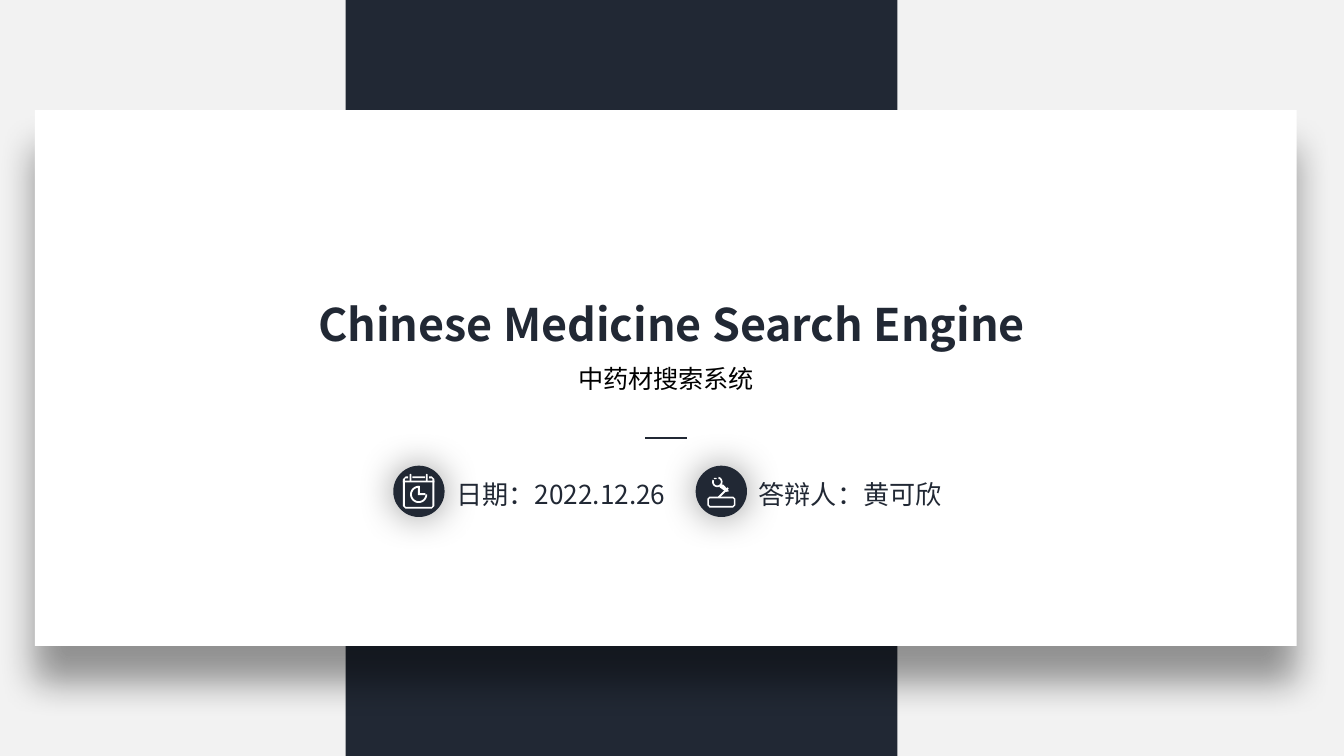
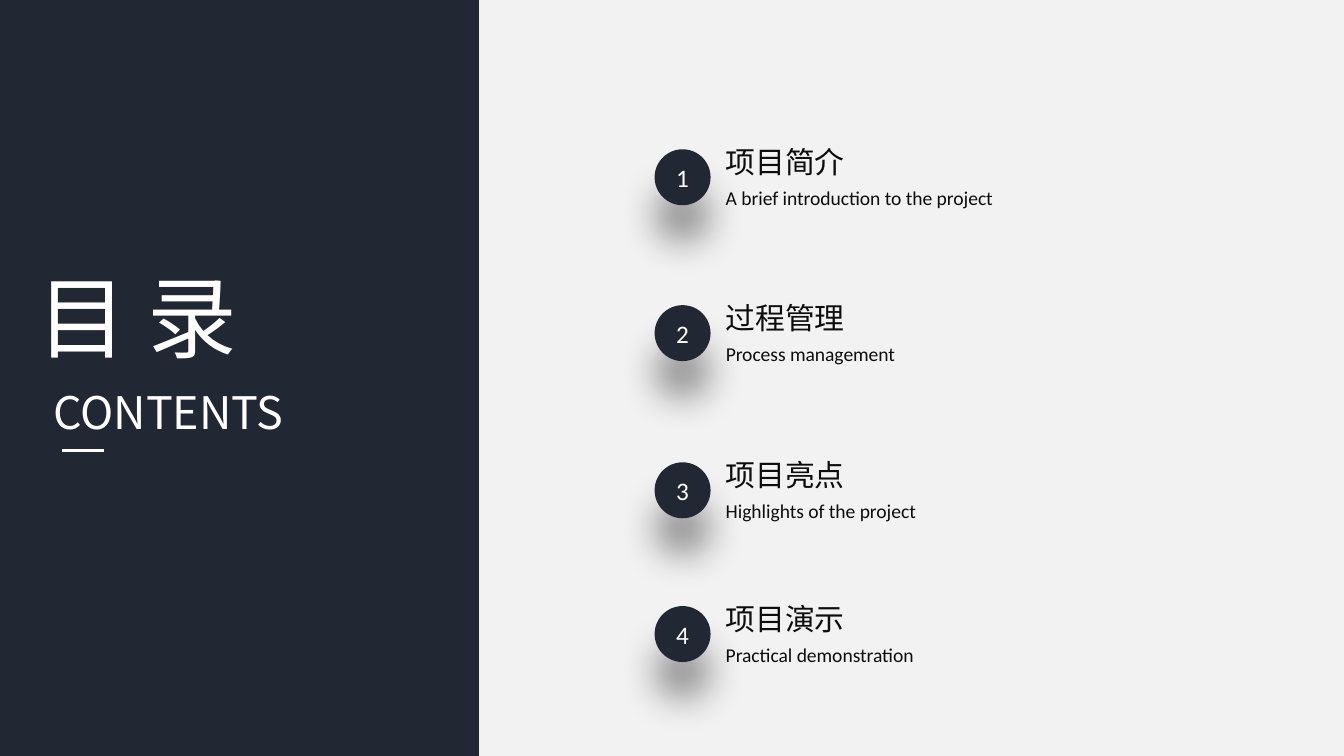
from collections import namedtuple
from math import cos, radians, sin

from lxml.etree import SubElement
from pptx import Presentation
from pptx.dml.color import RGBColor
from pptx.enum.shapes import MSO_CONNECTOR, MSO_SHAPE
from pptx.enum.text import MSO_ANCHOR, MSO_AUTO_SIZE, PP_ALIGN
from pptx.oxml.ns import qn
from pptx.util import Pt

Box = namedtuple("Box", "left top width height")

PAGE = Box(0, 0, 720, 405)
NAVY, PALE, WHITE, BLACK, INK = "212834", "F2F2F2", "FFFFFF", "000000", "0D0D0D"
HEADING_FONT, BODY_FONT = "Noto Sans CJK SC", "Calibri"
TITLE_ONLY = 5

CARD_TITLE = {"size": Pt(24), "name": HEADING_FONT, "bold": True}
CARD_SUBTITLE = {"size": Pt(13.5), "name": BODY_FONT}
DETAIL = {"size": Pt(14), "name": HEADING_FONT}
PANEL_TITLE = {"size": Pt(48), "name": HEADING_FONT}
PANEL_SUBTITLE = {"size": Pt(24), "name": HEADING_FONT}
NUMBER = {"size": Pt(13.5), "name": BODY_FONT}
ITEM_TITLE = {"size": Pt(16), "name": HEADING_FONT}
ITEM_NOTE = {"size": Pt(10.5), "name": BODY_FONT}

AGENDA = [
    (80, "项目简介", "A brief introduction to the project", 160),
    (163.5, "过程管理", "Process management", 106.6),
    (247.7, "项目亮点", "Highlights of the project", 117.4),
    (324.7, "项目演示", "Practical demonstration", 117.4),
]


def color(value):
    """Turn a hex string into a colour."""
    return RGBColor.from_string(value)


def set_values(target, values):
    """Set each named attribute on the target."""
    for name, value in values.items():
        setattr(target, name, value)


def place(box):
    """Give a box as four lengths."""
    return [Pt(value) for value in box]


def write(shape, text, style, ink, align=PP_ALIGN.LEFT, **frame_values):
    """Write one formatted paragraph into a shape."""
    frame = shape.text_frame
    set_values(frame, {"word_wrap": True, **frame_values})
    paragraph = frame.paragraphs[0]
    paragraph.alignment = align
    run = paragraph.add_run()
    run.text = text
    set_values(run.font, style)
    run.font.color.rgb = color(ink)
    SubElement(run.font._element, qn("a:ea"), typeface=style["name"])


def add_text(slide, box, text, style, ink, **frame_values):
    """Add a text box that grows with its text."""
    shape = slide.shapes.add_textbox(*place(box))
    write(shape, text, style, ink,
          **{"auto_size": MSO_AUTO_SIZE.SHAPE_TO_FIT_TEXT, **frame_values})
    return shape


def set_title(slide, box, text, style, ink, align=PP_ALIGN.LEFT):
    """Move the title placeholder to the front and fill it."""
    title = slide.shapes.title
    slide.shapes.element.append(title.element)
    set_values(title, dict(zip(Box._fields, place(box))))
    write(title, text, style, ink, align, vertical_anchor=MSO_ANCHOR.TOP,
          auto_size=MSO_AUTO_SIZE.SHAPE_TO_FIT_TEXT)


def paint(shape, fill):
    """Give a shape a plain fill without line or shadow."""
    shape.shadow.inherit = False
    shape.fill.solid()
    shape.fill.fore_color.rgb = color(fill)
    shape.line.fill.background()


def add_block(slide, kind, box, fill, shadow_distance=None):
    """Add a filled preset shape, with a soft shadow if a distance is given."""
    shape = slide.shapes.add_shape(kind, *place(box))
    paint(shape, fill)
    if shadow_distance is not None:
        effects = shape.element.spPr.find(qn("a:effectLst"))
        shadow = SubElement(effects, qn("a:outerShdw"), blurRad=str(Pt(20)),
                            dist=str(Pt(shadow_distance)), dir="5400000",
                            algn="t", rotWithShape="0")
        tint = SubElement(shadow, qn("a:srgbClr"), val=BLACK)
        SubElement(tint, qn("a:alpha"), val="40000")
    return shape


def add_dash(slide, left, top, ink):
    """Add the short rule below a heading."""
    line = slide.shapes.add_connector(MSO_CONNECTOR.STRAIGHT, Pt(left), Pt(top),
                                      Pt(left + 22.5), Pt(top))
    line.line.color.rgb = color(ink)
    line.line.width = Pt(1.5)
    SubElement(line.element.spPr, qn("a:effectLst"))


def rectangle(left, top, width, height, cut=0):
    """List the corners of a rectangle with cut corners."""
    right, bottom = left + width, top + height
    return [(left + cut, top), (right - cut, top), (right, top + cut),
            (right, bottom - cut), (right - cut, bottom), (left + cut, bottom),
            (left, bottom - cut), (left, top + cut)]


def arc_band(center_x, center_y, outer, inner, start, end):
    """List the outline of a curved band, clockwise from start to end."""
    angles = [radians(start + (end - start) * step / 24) for step in range(25)]
    return [(center_x + radius * cos(angle), center_y + radius * sin(angle))
            for radius, order in ((outer, angles), (inner, angles[::-1]))
            for angle in order]


CALENDAR = [
    [[(2.8, 0), (1.4, 0), (0, 1.4), (0, 15.9), (1.4, 17.3), (15.4, 17.3),
      (16.8, 15.9), (16.8, 1.4), (15.4, 0), (14, 0), (14, 1), (15.4, 1),
      (15.8, 1.4), (15.8, 15.8), (15.4, 16.3), (1.4, 16.3), (1, 15.8),
      (1, 1.4), (1.4, 1), (2.8, 1)],
     rectangle(5, 0, 6.8, 0.9)],
    [rectangle(left, -1.4, 0.9, 4.2, 0.3) for left in (3.6, 12.3)],
    [rectangle(0, 2.2, 16.8, 0.9), arc_band(8.4, 9.6, 4.6, 3.6, 0, 270)],
    [[(8, 5), (9, 5), (9, 9), (12, 9), (12, 10), (8, 10)]],
]
GAVEL = [
    [[(8.6, 4.3), (11.2, 7.2), (11.5, 7.9), (10.1, 8.2), (6.6, 5.8),
      (6.6, 5), (7.4, 4.2)]],
    [[(5.8, 10.8), (10.8, 5.8), (11.5, 6.5), (6.5, 11.5)],
     arc_band(5.4, 2.9, 2.8, 1.9, -75, 205),
     rectangle(3.6, 0.7, 1.4, 0.7, 0.2)],
    [rectangle(0, 10.8, 15.1, 5.8, 1.2), rectangle(0.9, 11.7, 13.3, 4, 0.5)],
]


def add_icon(slide, left, top, parts):
    """Draw the outlines of an icon and group them."""
    shapes = []
    for outlines in parts:
        first, *others = [[(Pt(left + x), Pt(top + y)) for x, y in outline]
                          for outline in outlines]
        builder = slide.shapes.build_freeform(*first[0])
        builder.add_line_segments(first[1:])
        for outline in others:
            builder.move_to(*outline[0])
            builder.add_line_segments(outline[1:])
        shape = builder.convert_to_shape()
        paint(shape, WHITE)
        shapes.append(shape)
    slide.shapes.add_group_shape(shapes)


def add_detail(slide, box, text, icon, inset):
    """Add a round icon with its text to the right."""
    add_block(slide, MSO_SHAPE.OVAL, Box(box.left, box.top, 27.5, 27.5), NAVY, 0)
    add_text(slide, Box(box.left + 26.6, box.top + 3, box.width - 26.6, 24.5),
             text, DETAIL, NAVY)
    add_icon(slide, box.left + inset, box.top + 5.8, icon)


def add_card(slide, box):
    """Fill the cover card with its headings and details."""
    card = add_block(slide, MSO_SHAPE.RECTANGLE, box, WHITE, 20)
    write(card, "中药材搜索系统", CARD_SUBTITLE, BLACK, PP_ALIGN.CENTER,
          vertical_anchor=MSO_ANCHOR.MIDDLE)
    set_title(slide, Box(box.left + 128.5, box.top + 96.5, 425, 36),
              "Chinese Medicine Search Engine", CARD_TITLE, NAVY, PP_ALIGN.CENTER)
    add_dash(slide, box.left + 327, box.top + 175.7, NAVY)
    details = [(192, "日期：2022.12.26", CALENDAR, 5.2),
               (354, "答辩人：黄可欣", GAVEL, 6.2)]
    for offset, text, icon, inset in details:
        add_detail(slide, Box(box.left + offset, box.top + 190.5, 190, 27.5),
                   text, icon, inset)


def add_contents_panel(slide, box):
    """Add the dark panel with the contents heading."""
    add_block(slide, MSO_SHAPE.RECTANGLE, box, NAVY)
    add_text(slide, Box(box.left + 21.5, box.top + 202.3, 152.6, 36),
             "CONTENTS", PANEL_SUBTITLE, WHITE)
    set_title(slide, Box(box.left + 13, box.top + 136.8, 142.6, 65.5),
              "目 录", PANEL_TITLE, WHITE)
    add_dash(slide, box.left + 33.2, box.top + 241.2, WHITE)


def add_agenda_item(slide, box, number, title, note):
    """Add one numbered entry with its title and note."""
    text_left = box.left + 31
    group = [
        add_text(slide, Box(text_left, box.top - 6.5, 79.2, 26.6), title,
                 ITEM_TITLE, INK, word_wrap=False),
        add_text(slide, Box(text_left, box.top + 16.3, box.width - 31, 20.2), note,
                 ITEM_NOTE, INK, word_wrap=False),
    ]
    slide.shapes.add_group_shape(group)
    circle = add_block(slide, MSO_SHAPE.OVAL,
                       Box(box.left, box.top, box.height, box.height), NAVY, 20)
    margins = {f"margin_{side}": 0 for side in Box._fields[:2] + ("right", "bottom")}
    write(circle, str(number), NUMBER, WHITE, PP_ALIGN.CENTER, **margins,
          vertical_anchor=MSO_ANCHOR.MIDDLE)


def build_cover(slide, box):
    """Build the cover slide."""
    add_block(slide, MSO_SHAPE.RECTANGLE,
              Box(box.left + 185.2, box.top, 295.6, box.height), NAVY)
    add_card(slide, Box(box.left + 18.7, box.top + 59, 676, 287))


def build_contents(slide, box):
    """Build the contents slide."""
    add_contents_panel(slide, Box(box.left, box.top, 256.5, box.height))
    for number, (top, title, note, note_width) in enumerate(AGENDA, 1):
        add_agenda_item(slide, Box(box.left + 350.7, box.top + top, note_width + 31, 30),
                        number, title, note)


def main():
    """Build and save the presentation."""
    presentation = Presentation()
    set_values(presentation, {"slide_width": Pt(PAGE.width),
                              "slide_height": Pt(PAGE.height)})
    background = presentation.slide_master.background.fill
    background.solid()
    background.fore_color.rgb = color(PALE)
    for build in (build_cover, build_contents):
        layout = presentation.slide_layouts[TITLE_ONLY]
        build(presentation.slides.add_slide(layout), PAGE)
    presentation.save("out.pptx")


if __name__ == "__main__":
    main()
